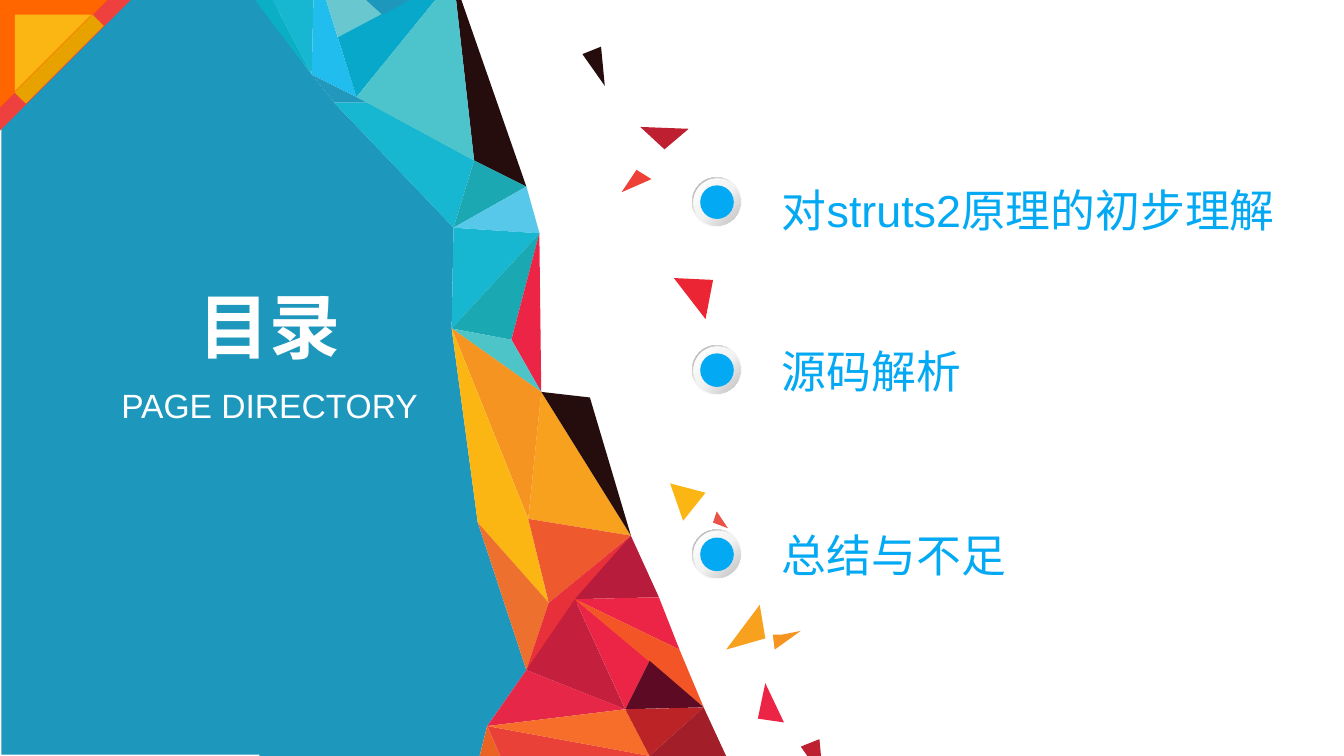
from copy import deepcopy

from pptx import Presentation
from pptx.dml.color import RGBColor
from pptx.enum.shapes import MSO_SHAPE as SHAPE
from pptx.enum.text import MSO_AUTO_SIZE as AUTO, PP_ALIGN as ALIGN
from pptx.util import Pt

WIDTH, HEIGHT = 720, 405
BLUE, PANEL, WHITE = "03A9F3", "1D97BC", "FFFFFF"
CYAN, ROSE, CRIMSON, COAL = "17B7D1", "EC2546", "BE1F31", "260D0D"
AMBER, ORANGE, TANGERINE = "FBB614", "F8A11E", "F59421"

CHAINS = {
    "T": [(135, -2), (146, 0), (168, -3), (174, -2), (191, -7),
          (195, -1), (205, 8), (219, 0), (225, -3)],
    "L": [(138, 1), (167, 40), (179, 55), (243, 122), (242, 176),
          (256, 280), (282, 359), (261, 389), (257, HEIGHT)],
    "C": [(181, 20), (191, 52), (197, 55), (254, 86), (274, 182),
          (283, 278), (294, 323), (308, 321), (335, 380), (348, 354)],
    "R": [(243, -12), (282, 100), (289, 125), (290, 210), (316, 213),
          (338, 287), (353, 320), (364, 348), (377, 379), (389, HEIGHT)],
    "B": [(268, HEIGHT), (348, HEIGHT)],
}
NODES = {f"{chain}{i}": node for chain, nodes in CHAINS.items() for i, node in enumerate(nodes)}

TEAL_BAND = [
    ("0AAEC5", "T0 T1 L1"), (CYAN, "T1 T2 L1"), ("21BDEE", "T2 T3 C1 L1"),
    ("2198BC", "L1 C2 L2"), ("69C7CF", "T3 T4 T6 C0"), ("08A8CA", "C0 C1 R0 T7"),
    (PANEL, "T5 T6 T8"), (COAL, "R0 R1 C3"), (CYAN, "C2 C3 L3 L2"),
    ("4DC4CC", "R0 C3 C1"), ("1BA8B2", "C3 R1 L3"), ("57C8EA", "L3 R1 R2"),
    (CYAN, "L3 R2 L4"), ("1AA8B2", "R2 C4 L4"), (ROSE, "R2 C4 R3"),
    ("4DC5C8", "L4 C4 R3"),
]
AMBER_BAND = [
    (TANGERINE, "L4 R3 C5"), (AMBER, "L4 L5 C6 C5"), (ORANGE, "R3 C5 R5"),
    (COAL, "R3 R4 R5"), ("EE592E", "C5 C6 R5"), ("ED702E", "L5 C6 L6"),
]
RED_BAND = [
    ("E73039", "C6 R5 L6"), ("B71C3C", "C7 R6 R5"), (ROSE, "C7 R7 R6"),
    (ROSE, "C7 C8 C9"), ("C41F3D", "C7 C8 L6"), ("F45526", "C7 R8 R7"),
    ("5D0B24", "C8 R8 C9"), ("E72748", "L6 L7 C8"), ("EB6323", "L7 L8 B0"),
    ("E94138", "L7 B0 B1"), ("F66E29", "L7 C8 B1"), ("BC2326", "C8 R8 B1"),
    ("A21F29", "R8 R9 B1"),
]

DART = [(10, 0), (0, 4), (12, 21)]
SPLINTERS = [
    (COAL, (312, 25), DART),
    (CRIMSON, (343, 68), [(0, 0), (26, 1), (13, 12)]),
    ("EE4037", (333, 91), [(8, 0), (0, 12), (16, 5)]),
    ("EB2534", (361, 149), [(0, 0), (21, 1), (17, 22)]),
    (AMBER, (359, 259), [(0, 0), (19, 5), (7, 20)]),
    ("EA5248", (382, 274), [(2, 0), (8, 9), (0, 6)]),
    (ORANGE, (389, 324), [(18, 0), (0, 24), (21, 18)]),
    (TANGERINE, (414, 338), [(0, 2), (5, 2), (15, 0), (1, 10)]),
    (ROSE, (406, 366), [(4, 0), (0, 19), (14, 21)]),
    (CRIMSON, (429, 396), DART),
]

ITEMS = [
    ("对struts2原理的初步理解", 95, -0.7, 288),
    ("源码解析", 185, -4.3, 264),
    ("总结与不足", 283.7, -4.3, 184),
]


def rgb(value):
    """Turn a hex string into a colour."""
    return RGBColor.from_string(value)


def finish(sp, color):
    """Give a shape a plain fill without line or shadow."""
    sp.shadow.inherit = False
    sp.line.fill.background()
    sp.fill.solid()
    sp.fill.fore_color.rgb = rgb(color)
    return sp


def add_shape(shapes, kind, box, color, rotation=0):
    """Add a preset shape in a box given in points."""
    sp = finish(shapes.add_shape(kind, *map(Pt, box)), color)
    sp.rotation = rotation
    return sp


def add_polygon(shapes, points, color, left, top):
    """Add a closed outline whose points are relative to left and top."""
    builder = shapes.build_freeform(*points[0], scale=Pt(1))
    builder.add_line_segments(points[1:], close=True)
    finish(builder.convert_to_shape(Pt(left), Pt(top)), color)


def add_gradient(sp, middle, position, end, angle):
    """Fill a shape with a gradient from white through middle to end."""
    sp.fill.gradient()
    gs_list = sp._element.xpath(".//a:gsLst")[0]
    gs_list.append(deepcopy(gs_list[-1]))
    stops = [(0, WHITE), (position, middle), (1, end)]
    for stop, (place, color) in zip(sp.fill.gradient_stops, stops):
        stop.position = place
        stop.color.rgb = rgb(color)
    sp.fill.gradient_angle = angle


def add_text(shapes, text, box, color, wrap=True, align=ALIGN.LEFT, **font):
    """Add a one-paragraph text box."""
    tf = shapes.add_textbox(*map(Pt, box)).text_frame
    tf.word_wrap = wrap
    tf.auto_size = AUTO.SHAPE_TO_FIT_TEXT
    p = tf.paragraphs[0]
    p.alignment = align
    r = p.add_run()
    r.text = text
    for name, value in {"name": "Arial", **font}.items():
        setattr(r.font, name, value)
    r.font.color.rgb = rgb(color)


def add_panel(shapes, left, top):
    """Draw the blue panel up to the left chain of the mosaic."""
    add_shape(shapes, SHAPE.RECTANGLE, (left + 0.7, top - 0.7, 148.3, HEIGHT), PANEL)
    add_polygon(shapes, CHAINS["L"] + [(139, HEIGHT)], PANEL, left, top)


def add_mosaic(shapes, left, top):
    """Join the named nodes into facets, band by band."""
    for color, corners in TEAL_BAND + AMBER_BAND + RED_BAND:
        add_polygon(shapes, [NODES[name] for name in corners.split()], color, left, top)


def add_splinters(shapes, left, top):
    """Scatter the loose pieces beside the mosaic."""
    for color, (x, y), outline in SPLINTERS:
        add_polygon(shapes, outline, color, left + x, top + y)


def add_corner(shapes, left, top):
    """Draw the folded corner."""
    for inset, size, color in [(0, 70, "EE403F"), (0, 57.6, "FF6600"), (7.9, 41, AMBER)]:
        box = (left + inset, top + inset, size, size)
        add_shape(shapes, SHAPE.RIGHT_TRIANGLE, box, color, 90)
    add_shape(shapes, SHAPE.RECTANGLE, (left + 27.4, top + 2.2, 8.6, 59), "E7A200", 45)


def add_button(shapes, left, top, size=26.6):
    """Draw a round button with a shaded rim."""
    group = shapes.add_group_shape().shapes
    layers = [(SHAPE.DONUT, 0), (SHAPE.OVAL, 0.7), (SHAPE.OVAL, 4.3)]
    rim, disc, _ = [
        add_shape(group, kind, (left + gap, top + gap, size - 2 * gap, size - 2 * gap), BLUE)
        for kind, gap in layers
    ]
    rim.adjustments[0] = 0.049
    add_gradient(rim, "F2F2F2", 0.55, "A6A6A6", 135)
    add_gradient(disc, "F2F2F2", 0.51, "BFBFBF", 315)


def add_contents(shapes, left):
    """List the sections, each with its button."""
    for text, top, shift, width in ITEMS:
        add_text(shapes, text, (left + 41, top + shift, width, 36), BLUE, size=Pt(24))
        add_button(shapes, left, top)


def add_heading(shapes, left, top, width):
    """Write the title and the subtitle centred in a column."""
    lines = [("目录", 0, 91.4, 53.3, {"size": Pt(38), "bold": True}),
             ("PAGE DIRECTORY", 55, width, 28.8, {"size": Pt(18)})]
    for text, drop, w, h, font in lines:
        box = (left + (width - w) / 2, top + drop, w, h)
        add_text(shapes, text, box, WHITE, wrap=False, align=ALIGN.CENTER, **font)


def build_contents_slide(prs):
    """Build the contents slide."""
    shapes = prs.slides.add_slide(prs.slide_layouts[6]).shapes
    for add_region in (add_panel, add_mosaic, add_splinters, add_corner):
        add_region(shapes, 0, 0)
    add_contents(shapes, 370.8)
    add_heading(shapes, 57, 147.6, 175)


prs = Presentation()
prs.slide_width, prs.slide_height = Pt(WIDTH), Pt(HEIGHT)
build_contents_slide(prs)
prs.save("out.pptx")
